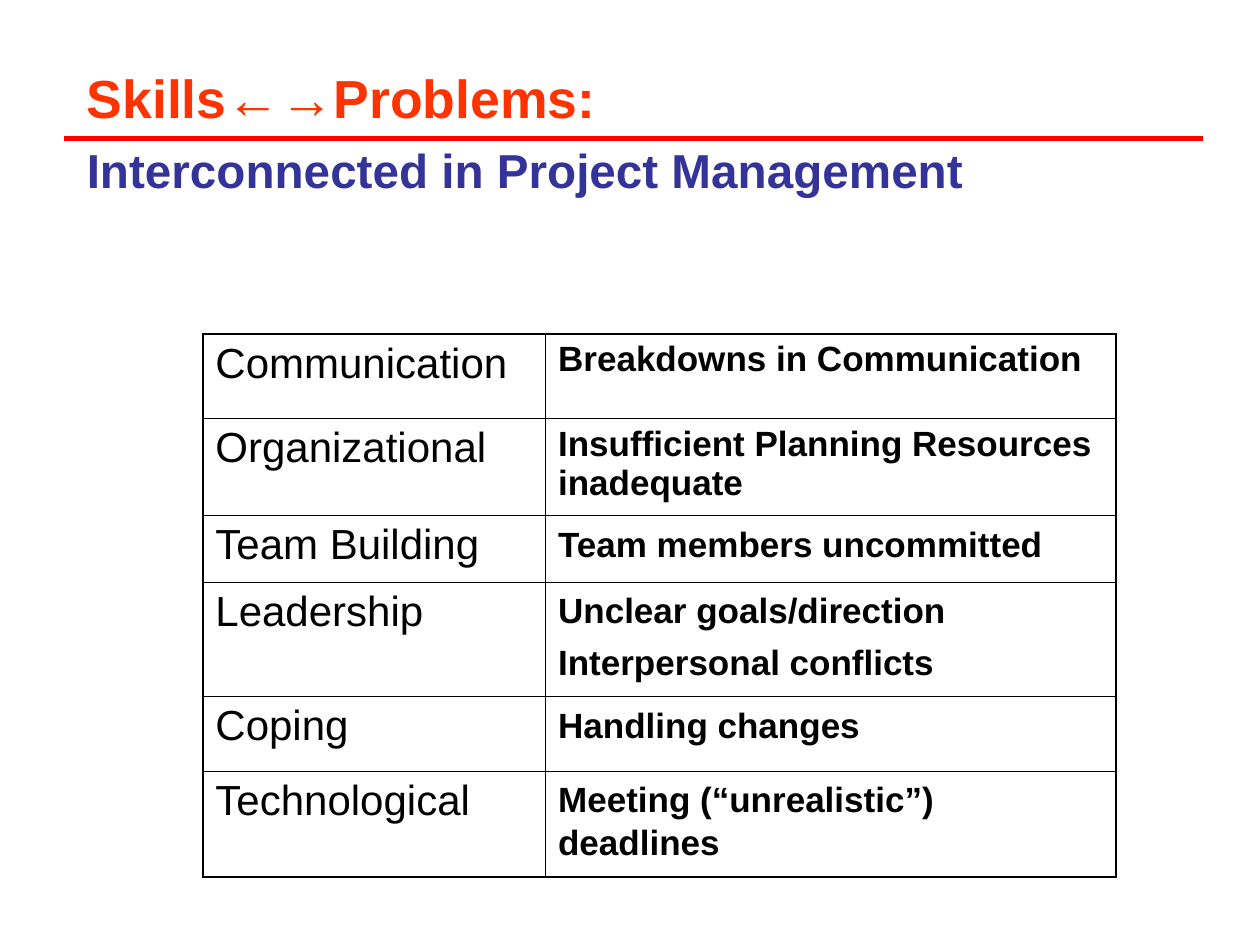
from dataclasses import dataclass

from lxml.etree import SubElement
from pptx import Presentation
from pptx.dml.color import RGBColor
from pptx.enum.shapes import MSO_CONNECTOR
from pptx.enum.text import MSO_ANCHOR
from pptx.oxml.ns import qn
from pptx.util import Inches, Pt


@dataclass(frozen=True)
class Theme:
    font: str = "Arial"
    title: str = "FF3300"
    subtitle: str = "333399"
    rule: str = "FF0000"
    ink: str = "000000"
    title_size: float = 30.6
    subtitle_size: float = 27.2
    skill_size: float = 24
    problem_size: float = 20
    rule_width: float = 3
    frame_width: float = 1.08
    inner_width: float = 0.45


class SlideBuilder:
    """Places elements on a grid of 100 columns by 75 rows."""

    COLUMNS, ROWS = 100, 75

    def __init__(self, deck, theme):
        self.theme = theme
        self.column = deck.slide_width / self.COLUMNS
        self.row = deck.slide_height / self.ROWS
        self.slide = deck.slides.add_slide(deck.slide_layouts[6])

    def x(self, columns):
        return round(columns * self.column)

    def y(self, rows):
        return round(rows * self.row)

    def style(self, paragraph, size, color, bold, spacing):
        paragraph.line_spacing = spacing
        for run in paragraph.runs:
            run.font.name = self.theme.font
            run.font.size = Pt(size)
            run.font.bold = bold
            run.font.color.rgb = RGBColor.from_string(color)

    def rule(self, left, right, top):
        line = self.slide.shapes.add_connector(
            MSO_CONNECTOR.STRAIGHT, self.x(left), self.y(top), self.x(right), self.y(top))
        line.line.color.rgb = RGBColor.from_string(self.theme.rule)
        line.line.width = Pt(self.theme.rule_width)
        SubElement(line._element.spPr, qn("a:effectLst"))

    def heading(self, left, top, width, height, lines):
        frame = self.slide.shapes.add_textbox(
            self.x(left), self.y(top), self.x(width), self.y(height)).text_frame
        frame.word_wrap = True
        frame.vertical_anchor = MSO_ANCHOR.MIDDLE
        frame.text = "\n".join(text for text, _, _ in lines)
        for paragraph, (_, size, color) in zip(frame.paragraphs, lines):
            self.style(paragraph, size, color, True, 1.2)

    def borders(self, cell, outer_sides):
        properties = cell._tc.get_or_add_tcPr()
        for position, side in enumerate("LRTB"):
            width = self.theme.frame_width if side in outer_sides else self.theme.inner_width
            edge = properties.makeelement(qn(f"a:ln{side}"), {"w": str(Pt(width))})
            fill = SubElement(edge, qn("a:solidFill"))
            SubElement(fill, qn("a:srgbClr"), val=self.theme.ink)
            properties.insert(position, edge)

    def cell(self, cell, text, size, bold, spacing, outer_sides):
        cell.fill.background()
        cell.text_frame.text = text
        for index, paragraph in enumerate(cell.text_frame.paragraphs):
            self.style(paragraph, size, self.theme.ink, bold, spacing)
            if index:
                paragraph.space_before = Pt(5)
        self.borders(cell, outer_sides)

    def skills_table(self, left, top, widths, pairs):
        heights = [height for _, _, height, _ in pairs]
        table = self.slide.shapes.add_table(
            len(pairs), len(widths), self.x(left), self.y(top),
            self.x(sum(widths)), self.y(sum(heights))).table
        table.first_row = table.horz_banding = False
        for column, width in zip(table.columns, widths):
            column.width = self.x(width)
        for index, (skill, problem, height, spacing) in enumerate(pairs):
            table.rows[index].height = self.y(height)
            ends = "T" * (index == 0) + "B" * (index == len(pairs) - 1)
            self.cell(table.cell(index, 0), skill, self.theme.skill_size, False, 1.0, "L" + ends)
            self.cell(table.cell(index, 1), problem, self.theme.problem_size, True, spacing,
                      "R" + ends)


# Skill, matching problem, row height, line spacing of the problem
SKILLS_AND_PROBLEMS = [
    ("Communication", "Breakdowns in Communication", 6.7, 1.0),
    ("Organizational", "Insufficient Planning Resources inadequate", 7.7, 1.0),
    ("Team Building", "Team members uncommitted", 5.3, 1.1),
    ("Leadership", "Unclear goals/direction\nInterpersonal conflicts", 9.1, 1.1),
    ("Coping", "Handling changes", 5.9, 1.1),
    ("Technological", "Meeting (“unrealistic”) deadlines", 8.4, 1.1),
]


def main():
    deck = Presentation()
    deck.slide_width, deck.slide_height = Inches(10), Inches(7.5)
    theme = Theme()
    builder = SlideBuilder(deck, theme)

    # Heading, split by the red rule
    builder.rule(5.1, 95.5, 11)
    builder.heading(5.9, 3.6, 94.1, 12.6, [
        ("Skills←→Problems:", theme.title_size, theme.title),
        ("Interconnected in Project Management", theme.subtitle_size, theme.subtitle),
    ])

    # Skills beside the problems they answer
    builder.skills_table(16.1, 26.5, (27.2, 45.3), SKILLS_AND_PROBLEMS)

    deck.save("out.pptx")


if __name__ == "__main__":
    main()
